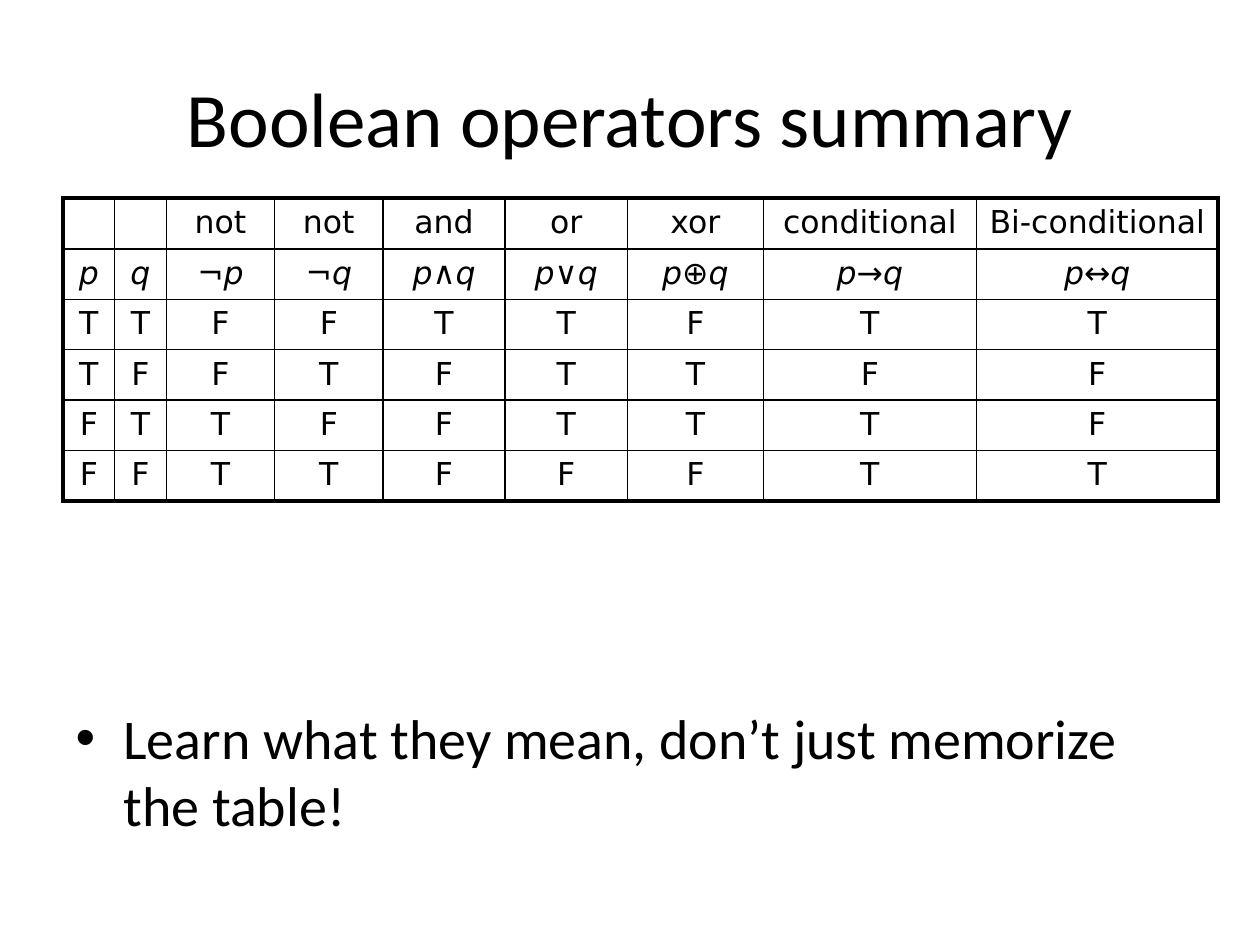
from dataclasses import dataclass
from itertools import product

from lxml.etree import SubElement
from pptx import Presentation
from pptx.dml.color import RGBColor
from pptx.enum.text import MSO_ANCHOR, MSO_AUTO_SIZE, PP_ALIGN
from pptx.oxml.ns import qn
from pptx.util import Inches, Pt


@dataclass(frozen=True)
class Theme:
    ink: str = "000000"
    paper: str = "FFFFFF"
    text_font: str = "Calibri"
    table_font: str = "DejaVu Sans"
    title_size: int = 44
    body_size: int = 32
    table_size: int = 18
    inner_line: float = 1
    outer_line: float = 2.25


class SlideBuilder:
    """Places elements on a grid of 100 columns by 75 rows."""

    def __init__(self, presentation, theme):
        self.theme = theme
        self.column = presentation.slide_width / 100
        self.row = presentation.slide_height / 75
        self.slide = presentation.slides.add_slide(presentation.slide_layouts[1])
        background = self.slide.background.fill
        background.solid()
        background.fore_color.rgb = RGBColor.from_string(theme.paper)

    def frame(self, left, top, width, height):
        return (round(left * self.column), round(top * self.row),
                round(width * self.column), round(height * self.row))

    def add_run(self, paragraph, text, font, size, italic=False):
        run = paragraph.add_run()
        run.text = text
        run.font.name = font
        run.font.size = Pt(size)
        run.font.italic = italic
        run.font.color.rgb = RGBColor.from_string(self.theme.ink)

    def place(self, shape, frame, anchor):
        shape.left, shape.top, shape.width, shape.height = self.frame(*frame)
        text_frame = shape.text_frame
        text_frame.word_wrap = True
        text_frame.auto_size = MSO_AUTO_SIZE.NONE
        text_frame.vertical_anchor = anchor
        return text_frame.paragraphs[0]

    def title(self, text, frame):
        paragraph = self.place(self.slide.shapes.title, frame, MSO_ANCHOR.MIDDLE)
        paragraph.alignment = PP_ALIGN.CENTER
        self.add_run(paragraph, text, self.theme.text_font, self.theme.title_size)

    def bullet(self, text, frame):
        paragraph = self.place(self.slide.placeholders[1], frame, MSO_ANCHOR.BOTTOM)
        properties = paragraph._p.get_or_add_pPr()
        properties.set("marL", str(Inches(0.38)))
        properties.set("indent", str(-Inches(0.38)))
        SubElement(properties, qn("a:buFont"), typeface="Arial")
        SubElement(properties, qn("a:buChar"), char="•")
        paragraph.space_before = Pt(0)
        self.add_run(paragraph, text, self.theme.text_font, self.theme.body_size)

    def borders(self, cell, outer_sides):
        properties = cell._tc.get_or_add_tcPr()
        for side in "LRTB":
            weight = self.theme.outer_line if side in outer_sides else self.theme.inner_line
            line = SubElement(properties, qn(f"a:ln{side}"), w=str(Pt(weight)))
            fill = SubElement(line, qn("a:solidFill"))
            SubElement(fill, qn("a:srgbClr"), val=self.theme.ink)

    def table(self, rows, left, top, widths, row_height):
        frame = self.frame(left, top, sum(widths), row_height * len(rows))
        table = self.slide.shapes.add_table(len(rows), len(widths), *frame).table
        table.first_row = table.horz_banding = False
        for column, width in zip(table.columns, widths):
            column.width = round(width * self.column)
        for r, texts in enumerate(rows):
            for c, text in enumerate(texts):
                cell = table.cell(r, c)
                edges = {"L": c == 0, "R": c == len(widths) - 1,
                         "T": r == 0, "B": r == len(rows) - 1}
                self.borders(cell, [side for side, outer in edges.items() if outer])
                cell.fill.background()
                paragraph = cell.text_frame.paragraphs[0]
                paragraph.alignment = PP_ALIGN.CENTER
                # Formula row: the variables are italic, the operators upright
                for part in text if r == 1 else filter(None, [text]):
                    self.add_run(paragraph, part, self.theme.table_font,
                                 self.theme.table_size, italic=part in ("p", "q"))


# Operator name, formula, rule, column width
OPERATORS = [
    ("", "p", lambda p, q: p, 4.1),
    ("", "q", lambda p, q: q, 4.1),
    ("not", "¬p", lambda p, q: not p, 8.6),
    ("not", "¬q", lambda p, q: not q, 8.6),
    ("and", "p∧q", lambda p, q: p and q, 9.7),
    ("or", "p∨q", lambda p, q: p or q, 9.7),
    ("xor", "p⊕q", lambda p, q: p != q, 10.8),
    ("conditional", "p→q", lambda p, q: not p or q, 16.9),
    ("Bi-conditional", "p↔q", lambda p, q: p == q, 19.2),
]


def main():
    presentation = Presentation()
    presentation.slide_width, presentation.slide_height = Inches(10), Inches(7.5)
    builder = SlideBuilder(presentation, Theme())

    # Title and advice
    builder.title("Boolean operators summary", (5, 3, 90, 12.5))
    builder.bullet("Learn what they mean, don’t just memorize the table!",
                   (5, 17.5, 90, 49.5))

    # Truth table
    names, formulas, rules, widths = zip(*OPERATORS)
    truth_rows = [["T" if rule(p, q) else "F" for rule in rules]
                  for p, q in product([True, False], repeat=2)]
    builder.table([names, formulas, *truth_rows], 5, 15.7, widths, 4)

    presentation.save("out.pptx")


if __name__ == "__main__":
    main()
